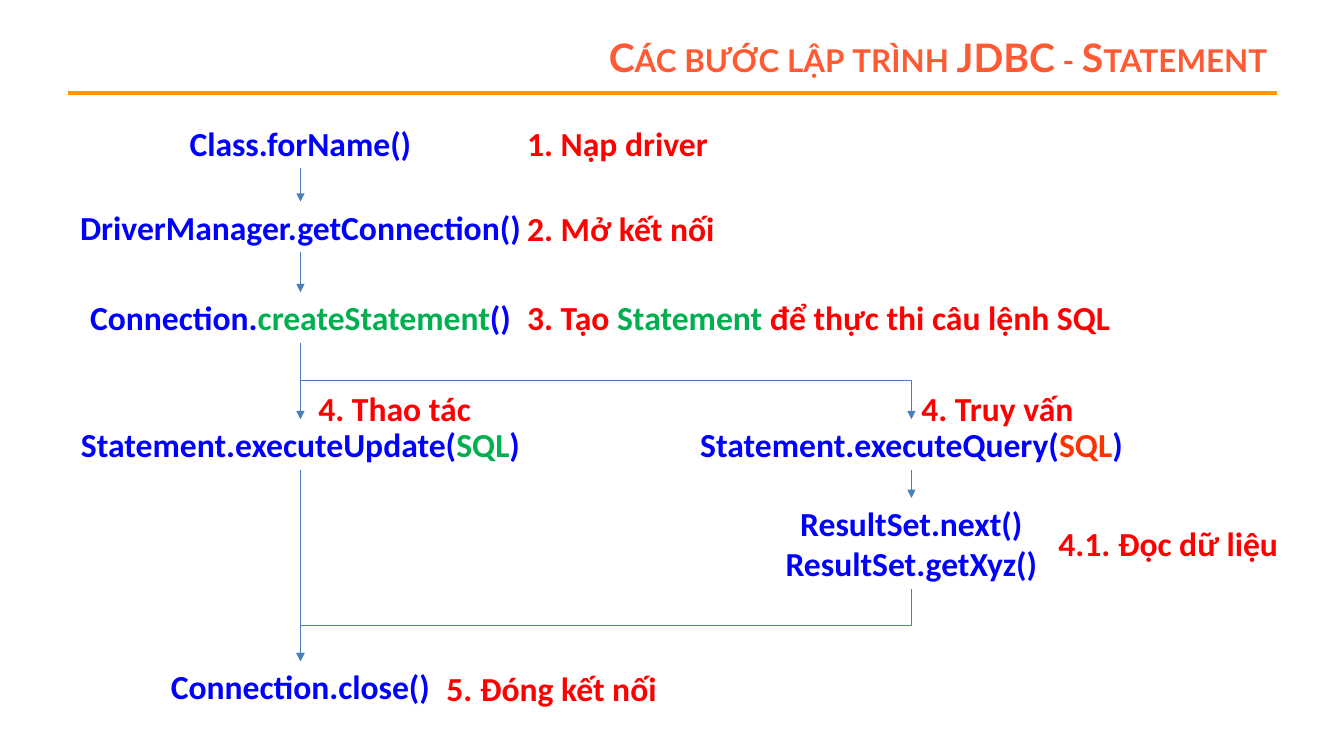
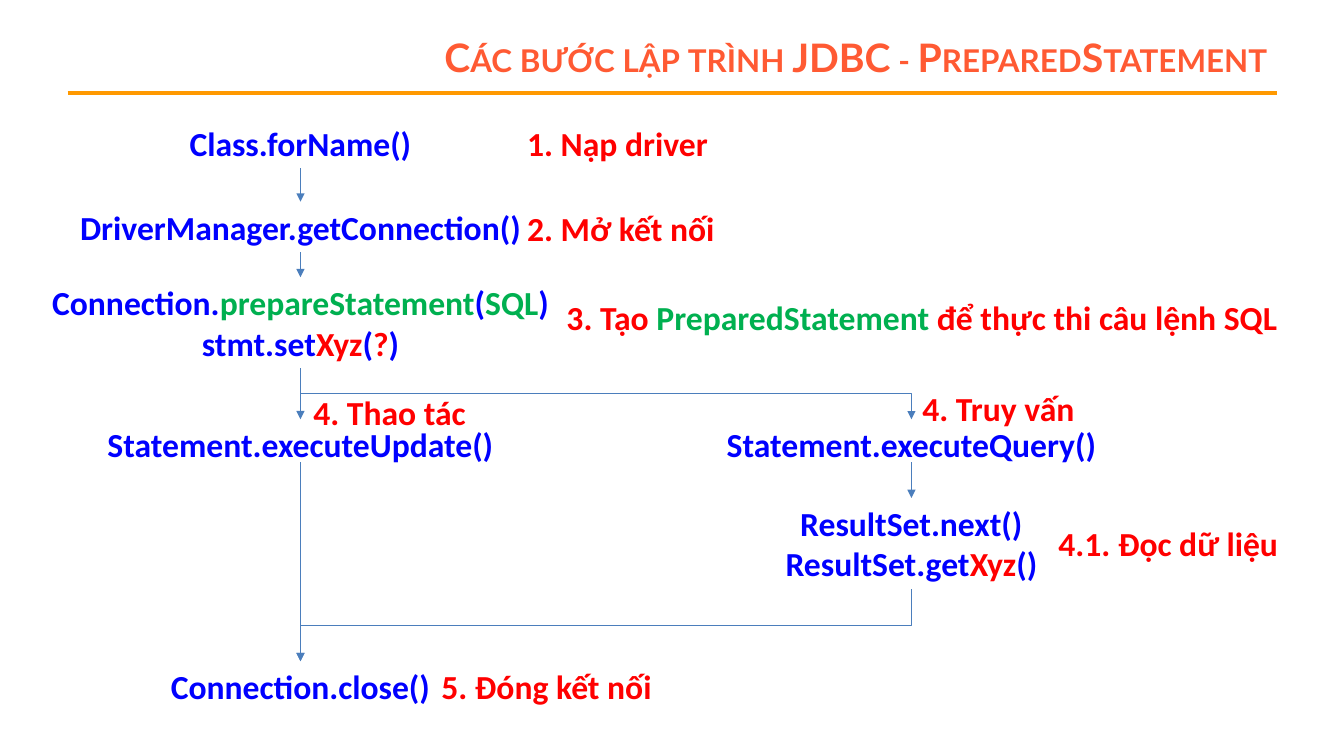
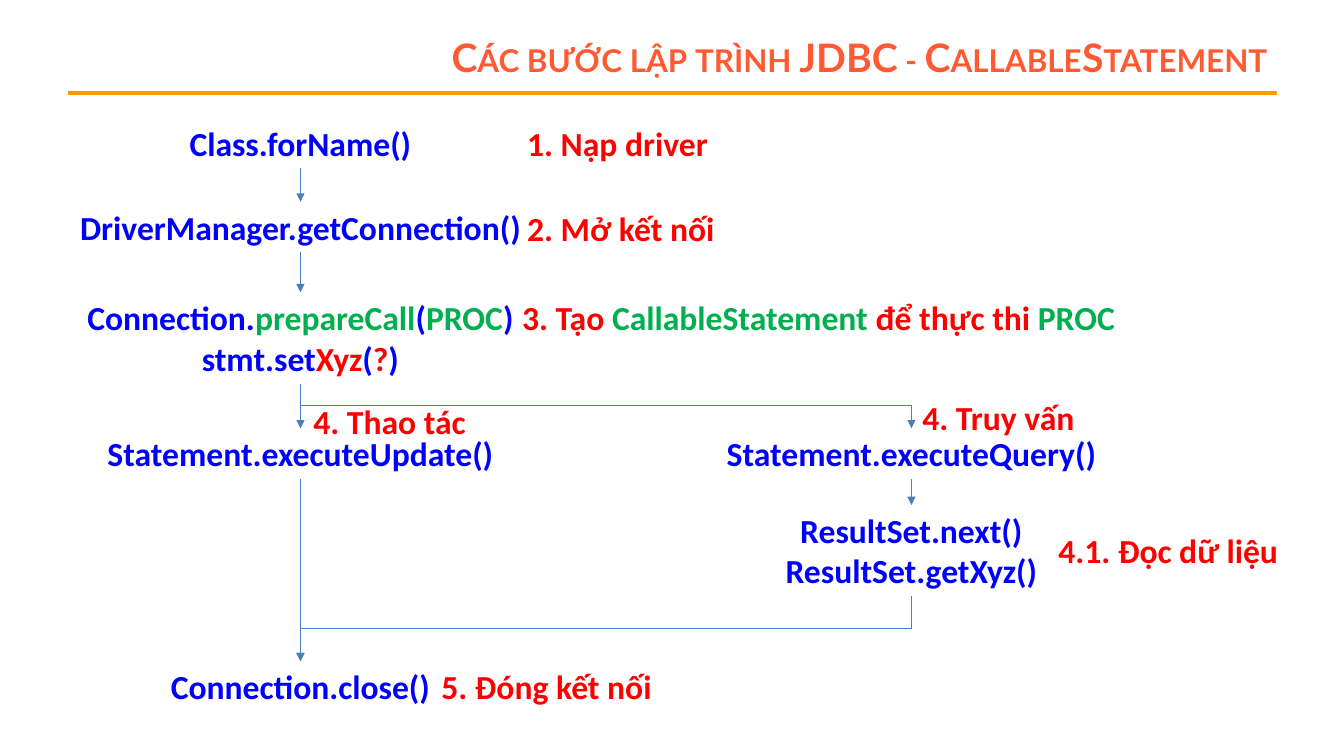
from dataclasses import dataclass

from lxml import etree
from pptx import Presentation
from pptx.dml.color import RGBColor
from pptx.enum.shapes import MSO_CONNECTOR
from pptx.enum.text import MSO_ANCHOR, MSO_AUTO_SIZE, PP_ALIGN
from pptx.oxml.ns import qn
from pptx.util import Inches, Pt


@dataclass(frozen=True)
class Theme:
    title_color: str = "FF5A33"
    rule_color: str = "FF9900"
    code_color: str = "0000FF"
    note_color: str = "FF0000"
    statement_color: str = "00B050"
    query_color: str = "FF3300"
    arrow_color: str = "4B7EBC"
    title_font: str = "Lato"
    body_font: str = "Calibri"
    title_size: int = 28
    body_size: int = 24
    rule_width: float = 3
    arrow_width: float = 0.75


THEME = Theme()


@dataclass(frozen=True)
class Box:
    left: float
    top: float
    width: float
    height: float


@dataclass(frozen=True)
class Grid:
    """Equal columns and rows laid over a box."""
    box: Box
    columns: int = 12
    rows: int = 12

    def x(self, column):
        return self.box.left + column * self.box.width / self.columns

    def y(self, row):
        return self.box.top + row * self.box.height / self.rows

    def cell(self, column, row, column_span, row_span):
        return Box(self.x(column), self.y(row),
                   self.x(column_span) - self.x(0), self.y(row_span) - self.y(0))


HEADER = Box(0.67, 0.3, 12, 0.62)
FLOW = Box(0.67, 1.17, 12, 6)
TITLE_SHARE = 0.85

# Columns and rows of the flow grid
LEFT_AXIS, RIGHT_AXIS = 2.31, 8.37
CONNECT_ROW, CLOSE_ROW = 1.66, 10.78
LINE_ROWS = {1: 1, 2: 1.81}


@dataclass(frozen=True)
class Flow:
    """What differs between the slides; rows and columns are those of the grid."""
    title: str
    create: list
    create_row: float
    create_span: float
    create_note: list
    create_note_column: float
    create_note_span: float
    update: list
    update_span: float
    query: list
    query_span: float
    read_getter: list
    execute_row: float = 5.98
    execute_rows: float = 1
    read_row: float = 7.54
    update_note_column: float = 2.34
    update_note_rise: float = 0.65
    query_note_column: float = 8.38
    close_note_column: float = 3.61
    close_note_row: float = CLOSE_ROW


def format_object(target, values):
    for name, value in values.items():
        setattr(target, name, value)


def format_font(font, name, size, color):
    format_object(font, {"name": name, "size": Pt(size), "bold": True})
    font.color.rgb = RGBColor.from_string(color)


def format_line(connector, color, width):
    connector.line.color.rgb = RGBColor.from_string(color)
    connector.line.width = Pt(width)
    etree.SubElement(connector.element.spPr, qn("a:effectLst"))


def add_text(slide, box, paragraphs, color, alignment):
    """A piece of a paragraph is a string, or a (string, colour) pair."""
    shape = slide.shapes.add_textbox(*map(Inches, (box.left, box.top, box.width, box.height)))
    frame = shape.text_frame
    format_object(frame, {"word_wrap": False, "auto_size": MSO_AUTO_SIZE.SHAPE_TO_FIT_TEXT})
    for index, pieces in enumerate(paragraphs):
        paragraph = frame.add_paragraph() if index else frame.paragraphs[0]
        paragraph.alignment = alignment
        for piece in pieces:
            text, piece_color = (piece, color) if isinstance(piece, str) else piece
            run = paragraph.add_run()
            run.text = text
            format_font(run.font, THEME.body_font, THEME.body_size, piece_color)


def add_arrow(slide, start, end):
    """Draw a straight arrow, or one that leaves and arrives vertically."""
    (start_x, start_y), (end_x, end_y) = start, end
    width, height = abs(end_x - start_x), end_y - start_y
    if width:
        # The elbow runs sideways by nature, so it is drawn upright and turned.
        middle_x, middle_y = (start_x + end_x) / 2, (start_y + end_y) / 2
        corners = (middle_x - height / 2, middle_y - width / 2,
                   middle_x + height / 2, middle_y + width / 2)
        connector = slide.shapes.add_connector(MSO_CONNECTOR.ELBOW, *map(Inches, corners))
        transform = connector.element.spPr.find(qn("a:xfrm"))
        rightward = end_x > start_x
        transform.set("rot", str((270 if rightward else 90) * 60000))
        if rightward:
            transform.set("flipH", "1")
    else:
        connector = slide.shapes.add_connector(
            MSO_CONNECTOR.STRAIGHT, *map(Inches, (*start, *end)))
    format_line(connector, THEME.arrow_color, THEME.arrow_width)
    etree.SubElement(connector.line._get_or_add_ln(), qn("a:tailEnd"), type="triangle")


def add_header(slide, box, text):
    width = box.width * TITLE_SHARE
    rule_y = box.top + box.height
    right = box.left + box.width
    rule = slide.shapes.add_connector(
        MSO_CONNECTOR.STRAIGHT, *map(Inches, (box.left, rule_y, right, rule_y)))
    format_line(rule, THEME.rule_color, THEME.rule_width)

    title = slide.shapes.title
    format_object(title, {"left": Inches(right - width), "top": Inches(box.top),
                          "width": Inches(width), "height": Inches(box.height * TITLE_SHARE)})
    format_object(title.text_frame, {"text": text, "word_wrap": True,
                                     "auto_size": MSO_AUTO_SIZE.NONE,
                                     "vertical_anchor": MSO_ANCHOR.MIDDLE})
    paragraph = title.text_frame.paragraphs[0]
    paragraph.alignment = PP_ALIGN.RIGHT
    run = paragraph.runs[0]
    format_font(run.font, THEME.title_font, THEME.title_size, THEME.title_color)
    run.font._element.set("cap", "small")


def add_calls(slide, grid, flow):
    """Place the calls, each centred on the axis of its branch."""
    calls = [
        (LEFT_AXIS, 0, 2.43, [["Class.forName()"]]),
        (LEFT_AXIS, CONNECT_ROW, 4.62, [["DriverManager.getConnection()"]]),
        (LEFT_AXIS, flow.create_row, flow.create_span, flow.create),
        (LEFT_AXIS, flow.execute_row, flow.update_span, [flow.update]),
        (LEFT_AXIS, CLOSE_ROW, 2.8, [["Connection.close()"]]),
        (RIGHT_AXIS, flow.execute_row, flow.query_span, [flow.query]),
        (RIGHT_AXIS, flow.read_row, 2.73, [["ResultSet.next()"], flow.read_getter]),
    ]
    for axis, row, span, paragraphs in calls:
        box = grid.cell(axis - span / 2, row, span, LINE_ROWS[len(paragraphs)])
        add_text(slide, box, paragraphs, THEME.code_color, PP_ALIGN.CENTER)


def add_arrows(slide, grid, flow):
    create_end = flow.create_row + LINE_ROWS[len(flow.create)]
    execute_end = flow.execute_row + flow.execute_rows
    read_end = flow.read_row + LINE_ROWS[2]
    arrows = [
        (LEFT_AXIS, 1, LEFT_AXIS, CONNECT_ROW),
        (LEFT_AXIS, CONNECT_ROW + 1, LEFT_AXIS, flow.create_row),
        (LEFT_AXIS, create_end, LEFT_AXIS, flow.execute_row),
        (LEFT_AXIS, execute_end, LEFT_AXIS, CLOSE_ROW),
        (LEFT_AXIS, create_end, RIGHT_AXIS, flow.execute_row),
        (RIGHT_AXIS, execute_end, RIGHT_AXIS, flow.read_row),
        (RIGHT_AXIS, read_end, LEFT_AXIS, CLOSE_ROW),
    ]
    for start_column, start_row, end_column, end_row in arrows:
        add_arrow(slide, (grid.x(start_column), grid.y(start_row)),
                  (grid.x(end_column), grid.y(end_row)))


def add_notes(slide, grid, flow):
    """Place the numbered remarks beside the calls."""
    notes = [
        (4.46, 0, 2.01, ["1. Nạp driver"]),
        (4.46, 1.68, 2.08, ["2. Mở kết nối"]),
        (flow.create_note_column, 3.46, flow.create_note_span, flow.create_note),
        (flow.update_note_column, flow.execute_row - flow.update_note_rise, 1.73,
         ["4. Thao tác"]),
        (flow.query_note_column, flow.execute_row - 0.72, 1.72, ["4. Truy vấn"]),
        (9.73, flow.read_row + 0.4, 2.4, ["4.1. Đọc dữ liệu"]),
        (flow.close_note_column, flow.close_note_row, 2.3, ["5. Đóng kết nối"]),
    ]
    for column, row, span, pieces in notes:
        add_text(slide, grid.cell(column, row, span, 1), [pieces],
                 THEME.note_color, PP_ALIGN.LEFT)


def add_flow_slide(presentation, flow):
    slide = presentation.slides.add_slide(presentation.slide_layouts[5])
    add_header(slide, HEADER, flow.title)
    grid = Grid(FLOW)
    for add_part in (add_calls, add_arrows, add_notes):
        add_part(slide, grid, flow)


def in_green(text):
    return text, THEME.statement_color


def in_red(text):
    return text, THEME.note_color


SET_PARAMETER = ["stmt.set", in_red("Xyz"), "(", in_red("?"), ")"]
PLAIN_EXECUTE = {
    "update": ["Statement.executeUpdate()"], "update_span": 4.07,
    "query": ["Statement.executeQuery()"], "query_span": 3.91,
}

FLOWS = [
    Flow(
        title="Các bước lập trình JDBC - Statement",
        create=[["Connection.", in_green("createStatement"), "()"]],
        create_row=3.46, create_span=4.42,
        create_note=["3. Tạo ", in_green("Statement "), "để thực thi câu lệnh SQL"],
        create_note_column=4.46, create_note_span=6.04,
        update=["Statement.executeUpdate(", in_green("SQL"), ")"], update_span=4.61,
        query=["Statement.executeQuery(", ("SQL", THEME.query_color), ")"], query_span=4.44,
        read_getter=["ResultSet.getXyz()"],
        update_note_column=2.39, update_note_rise=0.72, query_note_column=8.37,
        close_note_column=3.66, close_note_row=10.82,
    ),
    Flow(
        title="Các bước lập trình JDBC - PreparedStatement",
        create=[["Connection.", in_green("prepareStatement"), "(", in_green("SQL"), ")"],
                SET_PARAMETER],
        create_row=3.16, create_span=5.18,
        create_note=["3. Tạo ", in_green("PreparedStatement "), "để thực thi câu lệnh SQL"],
        create_note_column=4.85, create_note_span=7.32,
        read_getter=["ResultSet.get", in_red("Xyz"), "()"],
        execute_rows=0.85,
        **PLAIN_EXECUTE,
    ),
    Flow(
        title="Các bước lập trình JDBC - CallableStatement",
        create=[["Connection.", in_green("prepareCall"), "(", in_green("PROC"), ")"],
                SET_PARAMETER],
        create_row=3.46, create_span=4.47,
        create_note=["3. Tạo ", in_green("CallableStatement "), "để thực thi ",
                     in_green("PROC")],
        create_note_column=4.41, create_note_span=6.14,
        read_getter=["ResultSet.getXyz()"],
        execute_row=6.16, read_row=7.68,
        **PLAIN_EXECUTE,
    ),
]


def main():
    presentation = Presentation()
    format_object(presentation, {"slide_width": Inches(13.33), "slide_height": Inches(7.5)})
    for flow in FLOWS:
        add_flow_slide(presentation, flow)
    presentation.save("out.pptx")


if __name__ == "__main__":
    main()
